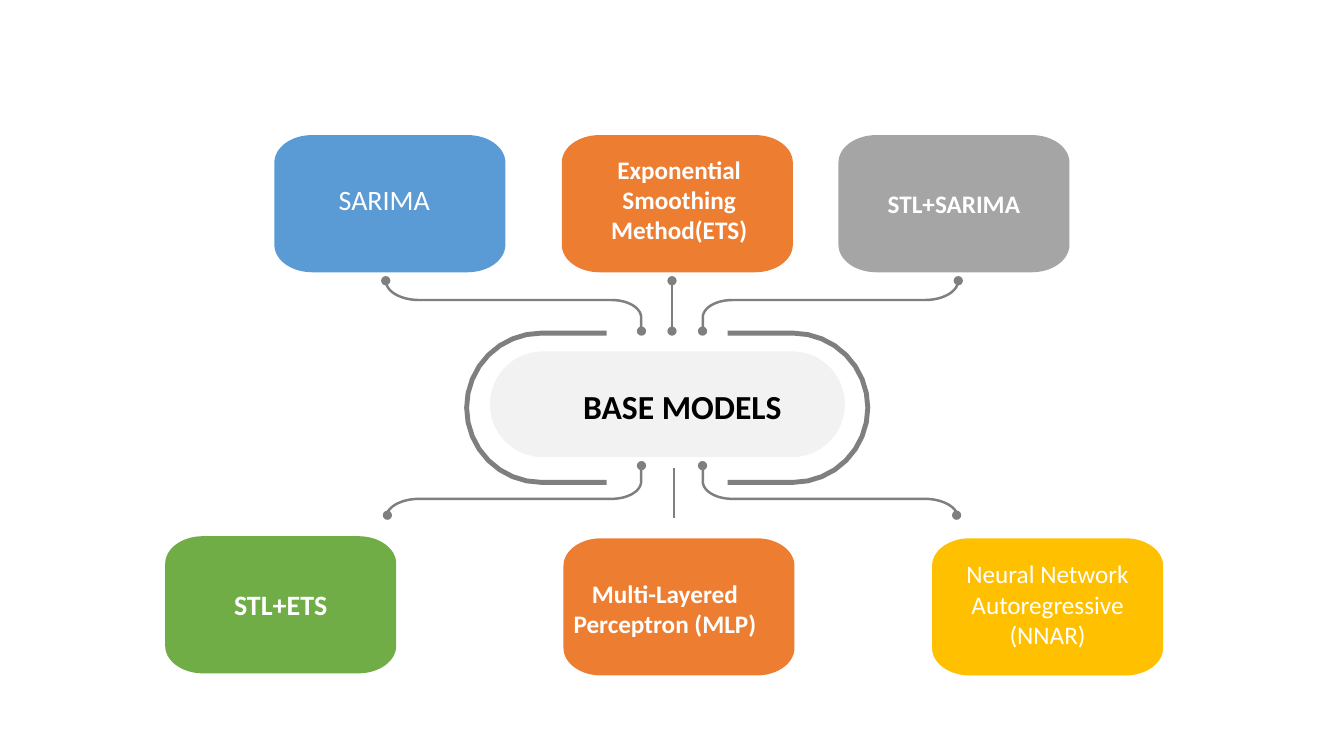
from math import cos, radians, sin

from pptx import Presentation
from pptx.dml.color import RGBColor
from pptx.enum.shapes import MSO_CONNECTOR, MSO_SHAPE
from pptx.enum.text import MSO_ANCHOR, MSO_AUTO_SIZE, PP_ALIGN
from pptx.util import Pt
from lxml.etree import SubElement
from pptx.oxml.ns import qn

BLUE = RGBColor(0x5B, 0x9B, 0xD5)
ORANGE = RGBColor(0xED, 0x7D, 0x31)
SILVER = RGBColor(0xA5, 0xA5, 0xA5)
GREEN = RGBColor(0x70, 0xAD, 0x47)
YELLOW = RGBColor(0xFF, 0xC0, 0x00)
GRAY = RGBColor(0x7F, 0x7F, 0x7F)
PALE = RGBColor(0xF2, 0xF2, 0xF2)
WHITE = RGBColor(0xFF, 0xFF, 0xFF)
BLACK = RGBColor(0, 0, 0)

prs = Presentation()
prs.slide_width, prs.slide_height = Pt(960), Pt(540)
slide = prs.slides.add_slide(prs.slide_layouts[5])
shapes = slide.shapes


def arc(cx, cy, rx, ry, start, end):
    """Return points on an elliptical arc; angles in degrees, clockwise."""
    steps = 16
    angles = [radians(start + (end - start) * i / steps) for i in range(steps + 1)]
    return [(cx + rx * cos(a), cy + ry * sin(a)) for a in angles]


def outline(points, closed=False, width=None):
    """Draw a freeform through points, stroked in gray if width is given."""
    corners = [(Pt(x), Pt(y)) for x, y in points]
    builder = shapes.build_freeform(*corners[0])
    builder.add_line_segments(corners[1:], close=closed)
    shape = builder.convert_to_shape()
    shape.shadow.inherit = False
    shape.fill.background()
    if width:
        shape.line.color.rgb = GRAY
        shape.line.width = Pt(width)
    else:
        shape.line.fill.background()
    return shape


# Curved links from the centre to the four outer models
AXIS = 480
MIDDLE = 285.35
link = (
    [(204.3, -84.6)]
    + arc(180.5, -84.6, 23.8, 13.6, 0, 90)
    + arc(43, -58.5, 21, 12.5, 270, 180)
    + [(22, -49)]
)
for side in (-1, 1):
    for level in (1, -1):
        outline([(AXIS + side * x, MIDDLE + level * y) for x, y in link], width=1.75)

# Straight links to the two middle models
for x, top, bottom in [(480, 200.5, 236.5), (481.2, 334, 370)]:
    stem = shapes.add_connector(MSO_CONNECTOR.STRAIGHT, Pt(x), Pt(top), Pt(x), Pt(bottom))
    stem.line.color.rgb = GRAY
    stem.line.width = Pt(1.5)
    SubElement(stem._element.spPr, qn("a:effectLst"))

# Link ends
DOT = 6.6
for y, offsets in [
    (200.5, (-204.5, 0, 204.5)),
    (236.5, (-21.8, 0, 21.8)),
    (332.6, (-21.8, 21.8)),
    (368, (-203.3, 203.3)),
]:
    for offset in offsets:
        dot = shapes.add_shape(
            MSO_SHAPE.OVAL, Pt(AXIS + offset - DOT / 2), Pt(y - DOT / 2), Pt(DOT), Pt(DOT)
        )
        dot.shadow.inherit = False
        dot.fill.solid()
        dot.fill.fore_color.rgb = GRAY
        dot.line.fill.background()

# Centre pill with a bracket on each side
pill = shapes.add_shape(MSO_SHAPE.ROUNDED_RECTANGLE, Pt(350), Pt(251), Pt(253.5), Pt(75.5))
pill.adjustments[0] = 0.5
pill.shadow.inherit = False
pill.fill.solid()
pill.fill.fore_color.rgb = PALE
pill.line.fill.background()

bracket = [(43.2, -53.3)] + arc(90, 0, 53.3, 53.3, -90, 90) + [(43.2, 53.3)]
for side in (-1, 1):
    outline([(476.6 + side * x, 291.25 + y) for x, y in bracket], width=3.5)

heading = shapes.title
heading.left, heading.top, heading.width, heading.height = Pt(387.4), Pt(265), Pt(200), Pt(50)
heading.text_frame.text = "BASE MODELS"
heading.text_frame.auto_size = MSO_AUTO_SIZE.NONE
heading.text_frame.vertical_anchor = MSO_ANCHOR.MIDDLE
label = heading.text_frame.paragraphs[0]
label.alignment = PP_ALIGN.CENTER
label.font.name, label.font.size, label.font.bold = "Calibri", Pt(24), True
label.font.color.rgb = BLACK
shapes.element.append(heading.element)  # in front of the pill

# Model boxes: left, top, colour, text, size, bold, text shift right and down
BOX_W, BOX_H = 165, 98
RX, RY = 27, 19.6
models = [
    (196, 96.5, BLUE, "SARIMA", 20, False, -4, -3),
    (401.3, 96.5, ORANGE, "Exponential\vSmoothing\vMethod(ETS)", 18, True, 1.3, -3),
    (598.9, 96.5, SILVER, "STL+SARIMA", 18, True, 0, 0),
    (118, 383, GREEN, "STL+ETS", 20, True, 0, 0),
    (402.5, 384.5, ORANGE, "Multi-Layered\vPerceptron (MLP)", 18, True, -10, 1),
    (665.8, 384.5, YELLOW, "Neural Network\vAutoregressive\n(NNAR)", 18, False, 0, -2),
]
for left, top, color, text, size, bold, right_shift, down_shift in models:
    x1, x2 = left + RX, left + BOX_W - RX
    y1, y2 = top + RY, top + BOX_H - RY
    model = outline(
        arc(x1, y1, RX, RY, 180, 270)
        + arc(x2, y1, RX, RY, 270, 360)
        + arc(x2, y2, RX, RY, 0, 90)
        + arc(x1, y2, RX, RY, 90, 180),
        closed=True,
    )
    model.fill.solid()
    model.fill.fore_color.rgb = color
    frame = model.text_frame
    frame.word_wrap = True
    frame.vertical_anchor = MSO_ANCHOR.MIDDLE
    frame.margin_left = Pt(max(0, 2 * right_shift))
    frame.margin_right = Pt(max(0, -2 * right_shift))
    frame.margin_top = Pt(max(0, 2 * down_shift))
    frame.margin_bottom = Pt(max(0, -2 * down_shift))
    frame.text = text
    for paragraph in frame.paragraphs:
        paragraph.alignment = PP_ALIGN.CENTER
        paragraph.font.name = "Calibri"
        paragraph.font.size = Pt(size)
        paragraph.font.bold = bold
        paragraph.font.color.rgb = WHITE

prs.save("out.pptx")
